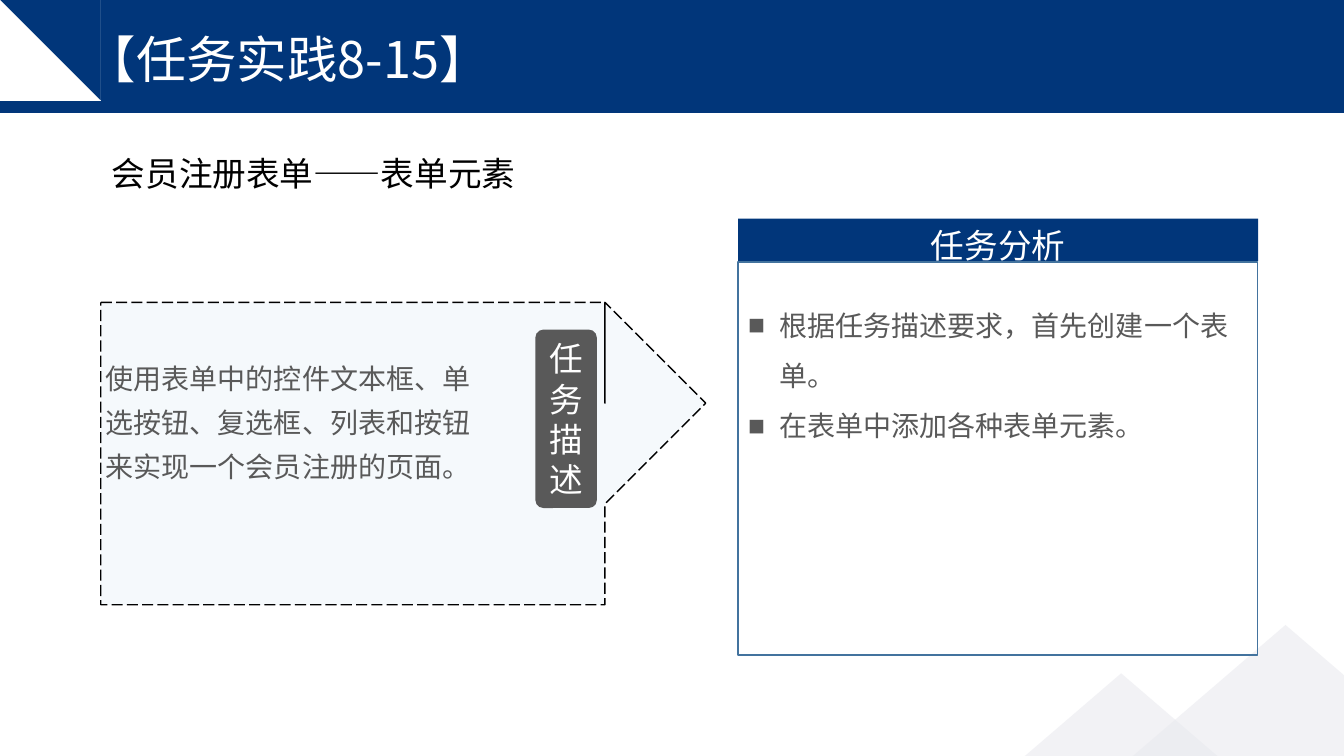
from dataclasses import dataclass
from math import cos, pi, sin

from lxml.etree import SubElement
from pptx import Presentation
from pptx.dml.color import RGBColor
from pptx.enum.dml import MSO_LINE
from pptx.enum.shapes import MSO_SHAPE
from pptx.enum.text import MSO_ANCHOR, MSO_AUTO_SIZE, PP_ALIGN
from pptx.oxml.ns import qn
from pptx.util import Inches, Pt


@dataclass(frozen=True)
class Theme:
    """Colours, fonts and type sizes of the slide."""

    navy: str = "01367A"
    white: str = "FFFFFF"
    black: str = "000000"
    grey: str = "595959"
    pale_blue: str = "BDD7EE"
    mountain: str = "E9EAEF"
    frame: str = "43739E"
    cjk: str = "Noto Sans CJK SC"
    latin: str = "Calibri"
    title: int = 36
    heading: int = 24
    body: int = 20


THEME = Theme()


def place(shape, left, top, width, height):
    """Move a shape to a box given in inches."""
    box = {"left": left, "top": top, "width": width, "height": height}
    for side, value in box.items():
        setattr(shape, side, Inches(value))


def paint(shape, fill=None, alpha=None, line=None, dash=None):
    """Set fill, opacity in percent and outline of a shape."""
    shape.shadow.inherit = False
    if fill:
        shape.fill.solid()
        shape.fill.fore_color.rgb = RGBColor.from_string(fill)
        if alpha:
            color = shape.fill._xPr.find(qn("a:solidFill"))[0]
            SubElement(color, qn("a:alpha"), val=str(alpha * 1000))
    else:
        shape.fill.background()
    if line:
        shape.line.color.rgb = RGBColor.from_string(line)
        shape.line.width = Pt(1)
        if dash:
            shape.line.dash_style = dash
    else:
        shape.line.fill.background()


def add_preset(slide, preset, box, **look):
    """Add a painted preset shape in a box given in inches."""
    shape = slide.shapes.add_shape(preset, *map(Inches, box))
    paint(shape, **look)
    return shape


def add_outline(slide, points, **look):
    """Add a painted closed outline through points given in inches."""
    builder = slide.shapes.build_freeform(*points[0], scale=Inches(1))
    builder.add_line_segments(points[1:], close=True)
    shape = builder.convert_to_shape()
    paint(shape, **look)
    return shape


def write(shape, lines, size, color, font=THEME.cjk, align=PP_ALIGN.LEFT,
          anchor=MSO_ANCHOR.TOP, spacing=1.0, bullet=None):
    """Fill a shape with formatted paragraphs."""
    frame = shape.text_frame
    frame_format = {"text": "\n".join(lines), "word_wrap": True,
                    "auto_size": MSO_AUTO_SIZE.NONE, "vertical_anchor": anchor}
    for name, value in frame_format.items():
        setattr(frame, name, value)
    paragraph_format = {"alignment": align, "line_spacing": spacing,
                        "space_before": Pt(0), "space_after": Pt(0)}
    for paragraph in frame.paragraphs:
        for name, value in paragraph_format.items():
            setattr(paragraph, name, value)
        properties = paragraph._p.get_or_add_pPr()
        indent = Inches(0.31) if bullet else 0
        properties.set("marL", str(indent))
        properties.set("indent", str(-indent))
        if bullet:
            SubElement(properties, qn("a:buChar"), char=bullet)
        else:
            SubElement(properties, qn("a:buNone"))
        for run in paragraph.runs:
            font_format = {"name": font, "size": Pt(size), "bold": False}
            for name, value in font_format.items():
                setattr(run.font, name, value)
            run.font.color.rgb = RGBColor.from_string(color)
            SubElement(run._r.get_or_add_rPr(), qn("a:ea"), typeface=font)


def add_label(slide, box, lines, size, color, **style):
    """Add a text box in a box given in inches."""
    label = slide.shapes.add_textbox(*map(Inches, box))
    write(label, lines, size, color, **style)


def bring_to_front(slide, shape):
    """Put a shape above everything added so far."""
    slide.shapes._spTree.append(shape._element)


def add_banner(slide, left, top, width, height):
    """Draw the title banner with its double arrow."""
    add_preset(slide, MSO_SHAPE.RECTANGLE, (left, top, width, height), fill=THEME.navy)
    tail, notch, tip = left + 0.43, left + 0.56, left + 0.82
    middle = top + 0.6
    arrow = [(tail, middle - 0.15), (notch, middle - 0.07), (notch, middle - 0.15),
             (tip, middle), (notch, middle + 0.15), (notch, middle + 0.07),
             (tail, middle + 0.15)]
    add_outline(slide, arrow, fill=THEME.white)
    title = slide.shapes.title
    place(title, left + 0.75, top + 0.34, 6.58, 0.56)
    write(title, ["【任务实践8-15】"], THEME.title, THEME.white,
          anchor=MSO_ANCHOR.MIDDLE, spacing=0.9)
    bring_to_front(slide, title)


def add_mountains(slide, left, top, width, height):
    """Draw the two pale peaks in the lower right corner."""
    for dx, dy in ((0, 0.48), (1.63, 0)):
        add_preset(slide, MSO_SHAPE.ISOSCELES_TRIANGLE, (left + dx, top + dy, width, height),
                   fill=THEME.mountain, alpha=59)


def add_subtitle(slide, left, top, width, height):
    """Place the line that names the task."""
    subtitle = slide.placeholders[1]
    place(subtitle, left, top, width, height)
    write(subtitle, ["会员注册表单——表单元素"], THEME.heading, THEME.black, spacing=1.3)
    bring_to_front(slide, subtitle)


def rounded_corner(center_x, center_y, start, rx=0.13, ry=0.18, steps=8):
    """Return points of a quarter ellipse that begins at a number of quarter turns."""
    angles = [(start + step / steps) * pi / 2 for step in range(steps + 1)]
    return [(center_x + rx * cos(a), center_y + ry * sin(a)) for a in angles]


def add_description(slide, left, top, width, height):
    """Draw the dashed callout with the task description."""
    arrow_length, rx, ry = 0.62, 0.13, 0.18
    right, bottom = left + width - arrow_length, top + height
    neck, tip, middle = right + arrow_length / 2, left + width, top + height / 2
    pointer = [(right, middle - 0.47), (neck, middle - 0.47), (neck, middle - 0.94),
               (tip, middle), (neck, middle + 0.94), (neck, middle + 0.47),
               (right, middle + 0.47)]
    outline = (rounded_corner(left + rx, top + ry, 2)
               + rounded_corner(right - rx, top + ry, 3)
               + pointer
               + rounded_corner(right - rx, bottom - ry, 0)
               + rounded_corner(left + rx, bottom - ry, 1))
    add_outline(slide, outline, fill=THEME.pale_blue, alpha=15, line=THEME.black,
                dash=MSO_LINE.LONG_DASH)
    add_label(slide, (left + 0.44, top + 0.68, 3.97, 1.37),
              ["使用表单中的控件文本框、单选按钮、复选框、列表和按钮来实现一个会员注册的页面。"],
              THEME.body, THEME.grey, spacing=1.3)
    tag = add_preset(slide, MSO_SHAPE.ROUNDED_RECTANGLE,
                     (left + 4.8, top + 0.51, 0.61, 1.77), fill=THEME.grey)
    tag.adjustments[0] = 0.13
    write(tag, ["任务描述"], THEME.heading, THEME.white, font=THEME.latin,
          align=PP_ALIGN.CENTER, anchor=MSO_ANCHOR.MIDDLE)


def add_analysis(slide, left, top, width, height):
    """Draw the framed task analysis with its heading and list."""
    header = 0.42
    add_preset(slide, MSO_SHAPE.RECTANGLE, (left, top, width, header), fill=THEME.navy)
    add_label(slide, (left, top + 0.01, width, 0.38), ["任务分析"],
              THEME.heading, THEME.white, align=PP_ALIGN.CENTER)
    steps = slide.placeholders[2]
    place(steps, left, top + 0.67, width, 1.54)
    write(steps, ["根据任务描述要求，首先创建一个表单。", "在表单中添加各种表单元素。"],
          THEME.body, THEME.grey, spacing=1.5, bullet="■")
    bring_to_front(slide, steps)
    add_preset(slide, MSO_SHAPE.RECTANGLE,
               (left, top + header + 0.01, width - 0.01, height - header - 0.01),
               line=THEME.frame)


def main():
    """Build and save the slide."""
    deck = Presentation()
    deck.slide_width, deck.slide_height = Inches(13.33), Inches(7.5)
    slide = deck.slides.add_slide(deck.slide_layouts.get_by_name("Two Content"))
    add_banner(slide, 0, 0, 13.33, 1.12)
    add_mountains(slide, 8.92, 6.2, 4.4, 1.89)
    add_subtitle(slide, 1.01, 1.35, 9.57, 0.7)
    add_description(slide, 0.51, 2.76, 6.16, 3.17)
    add_analysis(slide, 7.32, 2.17, 5.16, 4.33)
    deck.save("out.pptx")


if __name__ == "__main__":
    main()
